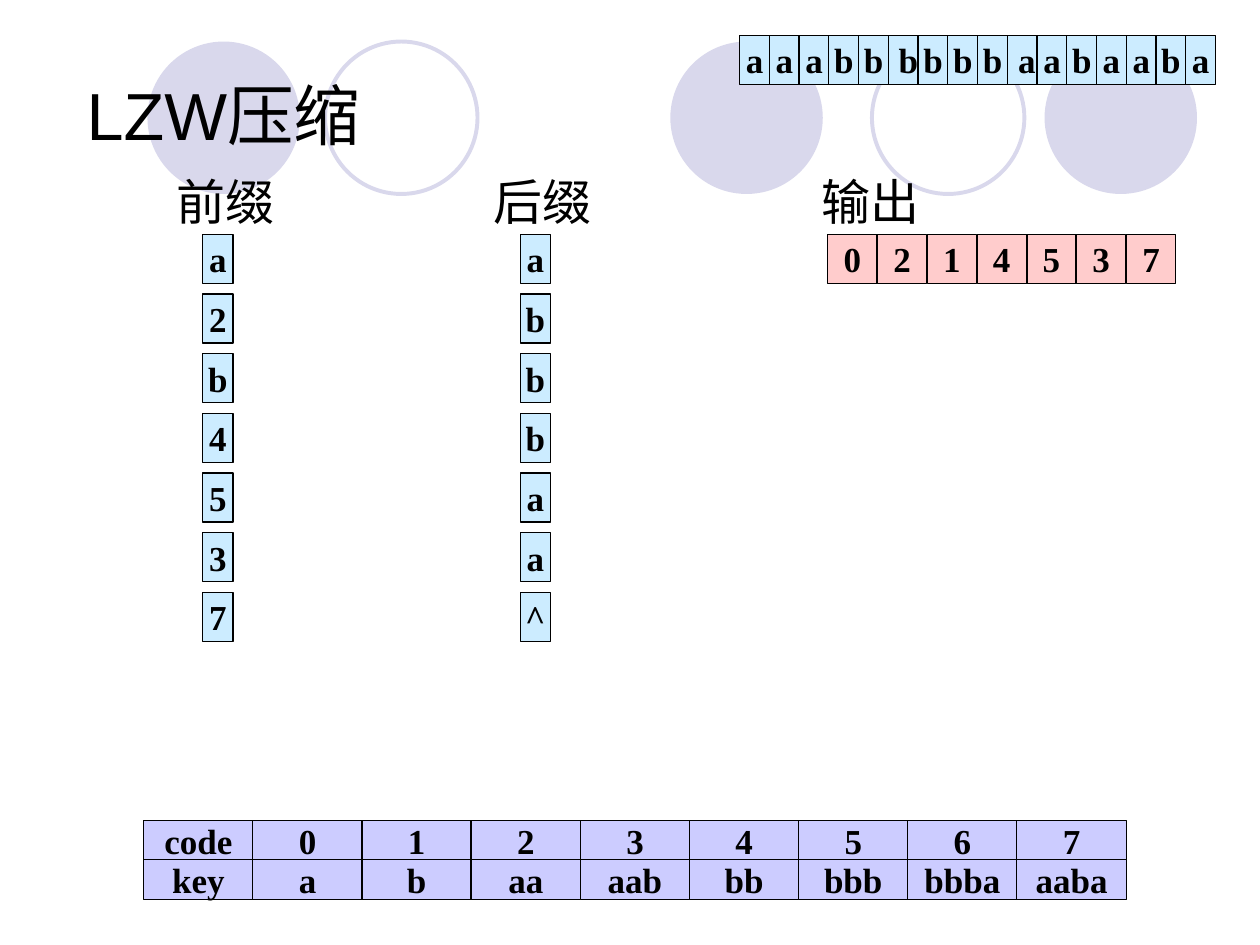
"""Build the LZW compression slide."""
from dataclasses import dataclass

from pptx import Presentation
from pptx.dml.color import RGBColor
from pptx.enum.shapes import MSO_SHAPE
from pptx.enum.text import MSO_ANCHOR, MSO_AUTO_SIZE, PP_ALIGN
from pptx.util import Inches, Pt


@dataclass(frozen=True)
class Theme:
    ink: str = "000000"
    circle: str = "D9D8EC"
    symbol: str = "CCECFF"
    output: str = "FFCCCC"
    table: str = "CCCCFF"
    heading_font: str = "Arial"
    cell_font: str = "Times New Roman"
    title_size: int = 38
    heading_size: int = 28
    cell_size: int = 20
    cell_line: float = 0.75
    ring_line: float = 2.25


def spread(first, last, count):
    return [first + (last - first) * i / (count - 1) for i in range(count)]


class SlideBuilder:
    def __init__(self, slide, theme):
        self.slide = slide
        self.theme = theme

    def shape(self, kind, box, fill=None, line=None, width=0.75):
        sp = self.slide.shapes.add_shape(kind, *map(Inches, box))
        sp.shadow.inherit = False
        if fill:
            sp.fill.solid()
            sp.fill.fore_color.rgb = RGBColor.from_string(fill)
        else:
            sp.fill.background()
        if line:
            sp.line.color.rgb = RGBColor.from_string(line)
            sp.line.width = Pt(width)
        else:
            sp.line.fill.background()
        return sp

    def run(self, p, text, font, size, bold=False):
        r = p.add_run()
        r.text = text
        r.font.name = font
        r.font.size = Pt(size)
        r.font.bold = bold
        r.font.color.rgb = RGBColor.from_string(self.theme.ink)

    def disc(self, left):
        self.shape(MSO_SHAPE.OVAL, (left, 0.33, 1.21, 1.21), fill=self.theme.circle)

    def ring(self, left):
        self.shape(MSO_SHAPE.OVAL, (left, 0.33, 1.21, 1.21),
                   line=self.theme.circle, width=self.theme.ring_line)

    def label(self, text, box, size, anchor, grow=False):
        tb = self.slide.shapes.add_textbox(*map(Inches, box))
        tf = tb.text_frame
        tf.word_wrap = True
        tf.vertical_anchor = anchor
        if grow:
            tf.auto_size = MSO_AUTO_SIZE.SHAPE_TO_FIT_TEXT
        self.run(tf.paragraphs[0], text, self.theme.heading_font, size)

    def title(self, text):
        self.label(text, (0.59, 0.28, 9, 1.25), self.theme.title_size, MSO_ANCHOR.MIDDLE)

    def heading(self, text, left):
        self.label(text, (left, 1.31, 1.18, 0.57), self.theme.heading_size,
                   MSO_ANCHOR.BOTTOM, grow=True)

    def cell(self, text, box, fill):
        sp = self.shape(MSO_SHAPE.RECTANGLE, box, fill, self.theme.ink, self.theme.cell_line)
        tf = sp.text_frame
        tf.word_wrap = False
        tf.vertical_anchor = MSO_ANCHOR.MIDDLE
        p = tf.paragraphs[0]
        p.alignment = PP_ALIGN.CENTER
        self.run(p, text, self.theme.cell_font, self.theme.cell_size, bold=True)

    def row(self, texts, first, last, top, width, height, fill, wider=None):
        for i, (text, left) in enumerate(zip(texts, spread(first, last, len(texts)))):
            cell_width = (wider or {}).get(i, width)
            self.cell(text, (left, top, cell_width, height), fill)

    def column(self, texts, left):
        for text, top in zip(texts, spread(1.86, 4.7, len(texts))):
            self.cell(text, (left, top, 0.24, 0.39), self.theme.symbol)


def main():
    prs = Presentation()
    prs.slide_width = Inches(10)
    prs.slide_height = Inches(7.5)
    theme = Theme()
    s = SlideBuilder(prs.slides.add_slide(prs.slide_layouts[6]), theme)

    for left in (5.32, 8.29, 1.17):
        s.disc(left)
    for left in (6.92, 2.58):
        s.ring(left)
    s.title("LZW压缩")

    s.row("0214537", 6.57, 8.94, 1.86, 0.39, 0.39, theme.output)
    s.row("aaabbbbbbaabaaba", 5.87, 9.41, 0.28, 0.24, 0.39, theme.symbol,
          wider={5: 0.32, 9: 0.31})

    code_table = (
        ("code", "0", "1", "2", "3", "4", "5", "6", "7"),
        ("key", "a", "b", "aa", "aab", "bb", "bbb", "bbba", "aaba"),
    )
    for texts, top in zip(code_table, (6.51, 6.82)):
        s.row(texts, 1.14, 8.07, top, 0.87, 0.32, theme.table)

    for text, left in (("前缀", 1.3), ("后缀", 3.82), ("输出", 6.42)):
        s.heading(text, left)
    s.column("a2b4537", 1.61)
    s.column("abbbaa^", 4.13)

    prs.save("out.pptx")


if __name__ == "__main__":
    main()
